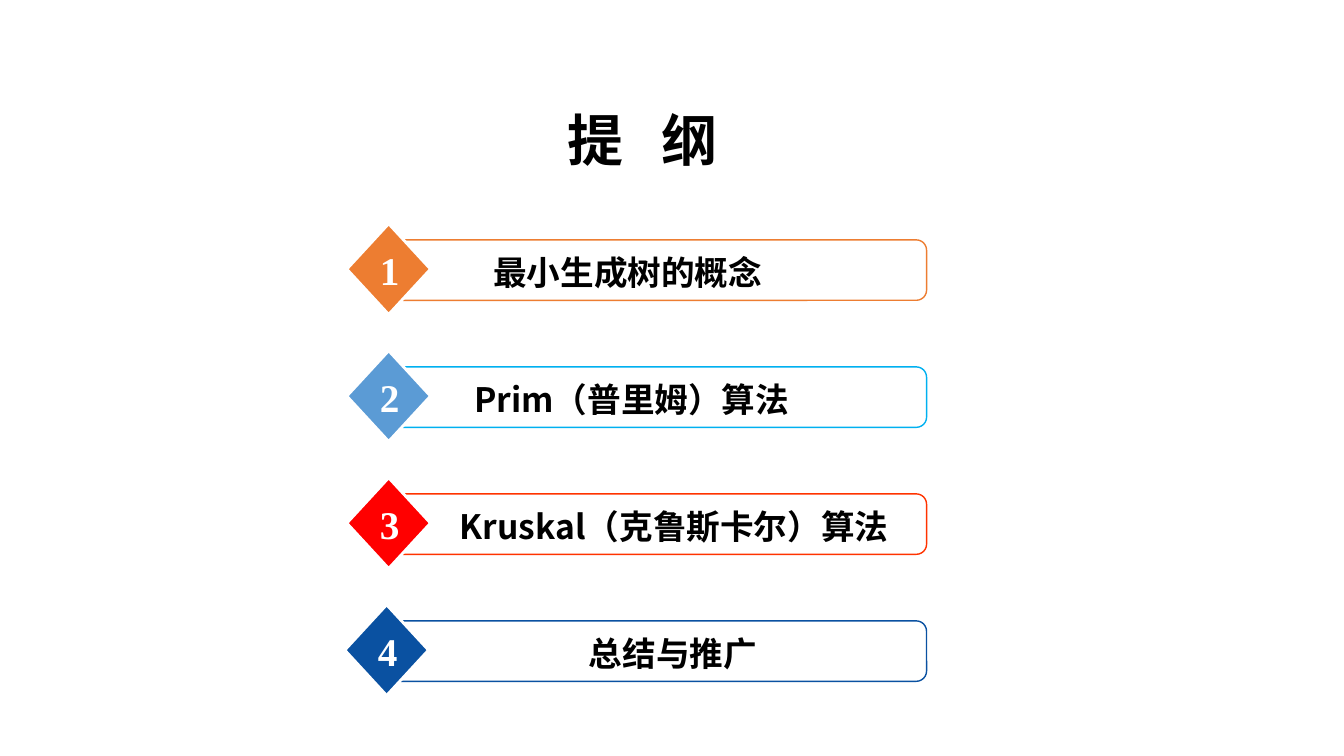
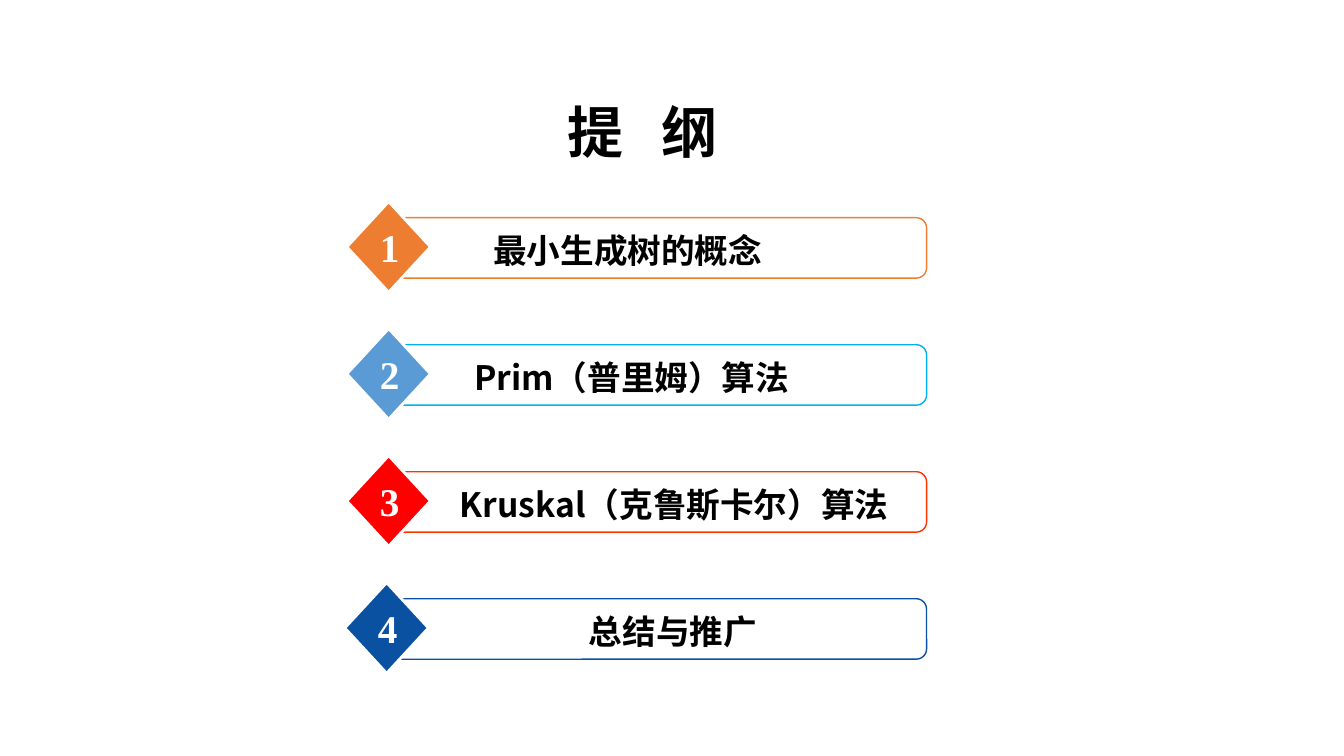
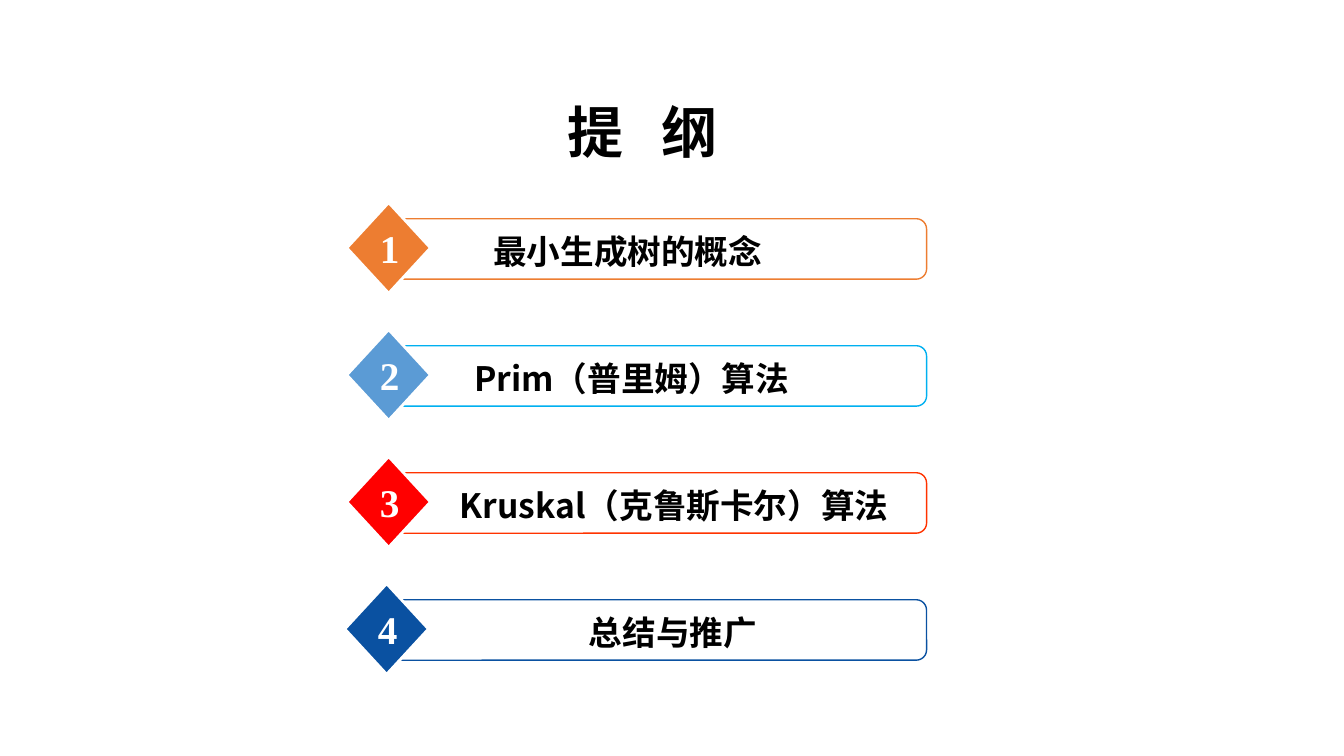
from dataclasses import dataclass

from lxml.etree import SubElement
from pptx import Presentation
from pptx.dml.color import RGBColor
from pptx.enum.shapes import MSO_SHAPE
from pptx.enum.text import MSO_AUTO_SIZE, PP_ALIGN
from pptx.oxml.ns import qn
from pptx.util import Emu, Pt


@dataclass(frozen=True)
class Theme:
    """Colours, fonts and sizes shared by all slides."""

    black: str = "000000"
    white: str = "FFFFFF"
    orange: str = "ED7D31"
    sky: str = "00B0F0"
    blue: str = "5B9BD5"
    vermilion: str = "FF3300"
    red: str = "FF0000"
    navy: str = "0A51A1"
    heading_font: str = "Noto Sans CJK SC"
    number_font: str = "Times New Roman"
    title_size: int = 40
    label_size: int = 24
    number_size: int = 28
    bar_line: int = 1
    diamond_line: int = 2
    corner: float = 0.17
    title_spacing: int = 900


@dataclass(frozen=True)
class Topic:
    """One outline entry with its colours and horizontal measures."""

    label: str
    line: str
    fill: str
    left: int = 344
    label_offset: int = 74
    label_width: int = 417


THEME = Theme()
EMU_PER_PX = 9144
SLIDE_WIDTH, SLIDE_HEIGHT = 1333, 750
ROW_RIGHT, ROW_HEIGHT, ROW_PITCH = 919, 60, 126
TITLE_LEFT, TITLE_WIDTH, TITLE_HEIGHT = 304, 667, 77
TOPICS = (
    Topic("最小生成树的概念", THEME.orange, THEME.orange, label_offset=70),
    Topic("Prim（普里姆）算法", THEME.sky, THEME.blue),
    Topic("Kruskal（克鲁斯卡尔）算法", THEME.vermilion, THEME.red, label_width=501),
    Topic("总结与推广", THEME.navy, THEME.navy, left=342, label_width=503),
)
OUTLINES = (
    {"title_top": 100, "rows_top": 238},
    {"title_top": 92, "rows_top": 216},
    {"title_top": 92, "rows_top": 217},
)


def px(*lengths):
    """Turn px lengths into EMU."""
    return [Emu(length * EMU_PER_PX) for length in lengths]


def set_values(target, values):
    """Set each named attribute of the target."""
    for name, value in values.items():
        setattr(target, name, value)


def add_outline_shape(shapes, kind, box, fill, line, line_width):
    """Add a filled preset shape with a coloured line."""
    shape = shapes.add_shape(kind, *px(*box))
    shape.shadow.inherit = False
    shape.fill.solid()
    shape.fill.fore_color.rgb = RGBColor.from_string(fill)
    shape.line.color.rgb = RGBColor.from_string(line)
    shape.line.width = Pt(line_width)
    return shape


def add_text(shapes, box, parts, font, size, color, wrap=True):
    """Add one centred bold line made of (text, letter spacing) parts."""
    shape = shapes.add_textbox(*px(*box))
    set_values(shape.text_frame, {"word_wrap": wrap, "auto_size": MSO_AUTO_SIZE.SHAPE_TO_FIT_TEXT})
    paragraph = shape.text_frame.paragraphs[0]
    paragraph.alignment = PP_ALIGN.CENTER
    for text, _ in parts:
        run = paragraph.add_run()
        run.text = text
        set_values(run.font, {"name": font, "size": Pt(size), "bold": True})
        run.font.color.rgb = RGBColor.from_string(color)
    for properties, (_, spacing) in zip(shape.element.iter(qn("a:rPr")), parts):
        SubElement(properties, qn("a:ea"), typeface=font)
        if spacing:
            properties.set("spc", str(spacing))


def add_title(slide, top):
    """Add the widely spaced outline title."""
    box = (TITLE_LEFT, top, TITLE_WIDTH, TITLE_HEIGHT)
    parts = (("提 ", THEME.title_spacing), ("纲", 0))
    add_text(slide.shapes, box, parts, THEME.heading_font, THEME.title_size, THEME.black)


def add_topic_row(slide, topic, number, top):
    """Add a grouped row: bar, diamond, label and number."""
    shapes = slide.shapes.add_group_shape().shapes
    left = topic.left
    bar_left = left + 46
    bar = add_outline_shape(
        shapes, MSO_SHAPE.ROUNDED_RECTANGLE, (bar_left, top, ROW_RIGHT - bar_left, ROW_HEIGHT),
        THEME.white, topic.line, THEME.bar_line)
    bar.adjustments[0] = THEME.corner
    add_outline_shape(
        shapes, MSO_SHAPE.DIAMOND, (left, top - 16, 83, 90),
        topic.fill, THEME.white, THEME.diamond_line)
    add_text(shapes, (left + topic.label_offset, top + 7, topic.label_width, 51),
             ((topic.label, 0),), THEME.heading_font, THEME.label_size, THEME.black)
    add_text(shapes, (left + 23, top + 1, 37, 57), ((str(number), 0),),
             THEME.number_font, THEME.number_size, THEME.white, wrap=False)


def add_outline_slide(presentation, title_top, rows_top):
    """Add a slide with the title above evenly spaced topic rows."""
    slide = presentation.slides.add_slide(presentation.slide_layouts[6])
    add_title(slide, title_top)
    for index, topic in enumerate(TOPICS):
        add_topic_row(slide, topic, index + 1, rows_top + index * ROW_PITCH)


def main():
    """Build and save the presentation."""
    presentation = Presentation()
    width, height = px(SLIDE_WIDTH, SLIDE_HEIGHT)
    set_values(presentation, {"slide_width": width, "slide_height": height})
    for outline in OUTLINES:
        add_outline_slide(presentation, **outline)
    presentation.save("out.pptx")


if __name__ == "__main__":
    main()
